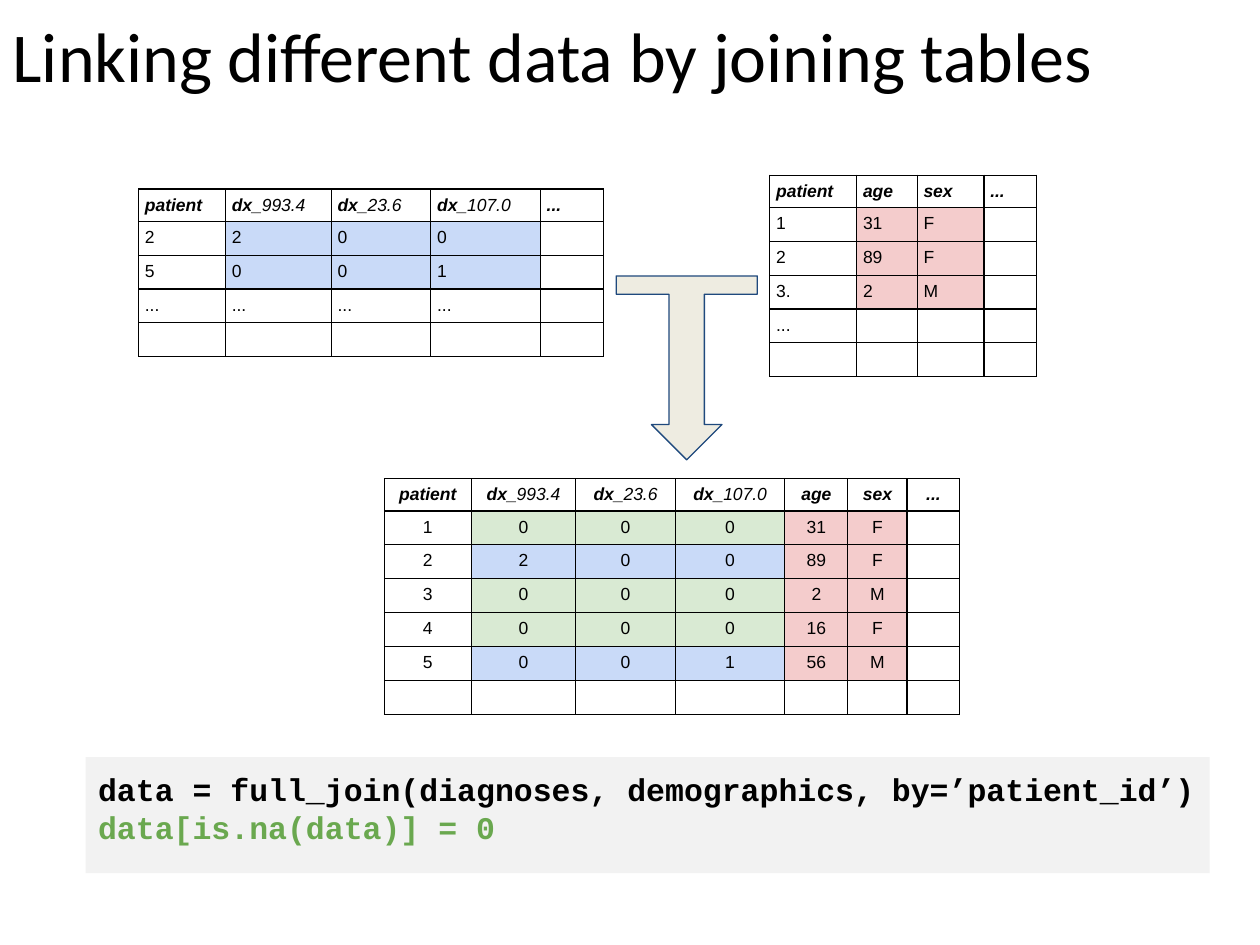
from dataclasses import dataclass

from lxml import etree
from pptx import Presentation
from pptx import util as u
from pptx.dml.color import RGBColor
from pptx.enum import shapes, text
from pptx.oxml.ns import qn


@dataclass(frozen=True)
class Theme:
    black: str = "000000"
    white: str = "FFFFFF"
    diagnosis: str = "C9DAF8"
    demographic: str = "F4CCCC"
    imputed: str = "D9EAD3"
    arrow: str = "EEECE1"
    arrow_line: str = "1F497D"
    code_panel: str = "F2F2F2"
    code_accent: str = "6AA84F"
    title_font: str = "Calibri"
    table_font: str = "Arial"
    code_font: str = "Courier New"
    title_size: float = 40
    table_size: float = 10
    code_size: float = 18
    thin_line: float = 0.75


@dataclass(frozen=True)
class Row:
    values: tuple[str, ...] = ()
    diagnosis_fill: str = Theme.white
    demographic_fill: str = Theme.white


@dataclass(frozen=True)
class DataTable:
    left: float
    top: float
    headers: tuple[str, ...]
    widths: tuple[float, ...]
    rows: tuple[Row, ...]
    alignment: text.PP_ALIGN = text.PP_ALIGN.LEFT


THEME = Theme()
ROW_HEIGHT = 0.25
CELL_MARGIN = 0.05
DIAGNOSES = ("dx_993.4", "dx_23.6", "dx_107.0")
DEMOGRAPHICS = ("age", "sex")


def add_run(paragraph, words: str, font: str, size: float, color: str = THEME.black,
            bold: bool = False, italic: bool = False) -> None:
    run = paragraph.add_run()
    run.text = words
    run.font.name = font
    run.font.size = u.Pt(size)
    run.font.color.rgb = RGBColor.from_string(color)
    run.font.bold = bold
    run.font.italic = italic


def set_fill(target, color: str) -> None:
    target.fill.solid()
    target.fill.fore_color.rgb = RGBColor.from_string(color)


def set_margins(frame, margin: float) -> None:
    frame.margin_left = frame.margin_right = u.Inches(margin)
    frame.margin_top = frame.margin_bottom = u.Inches(margin)


def set_borders(cell) -> None:
    properties = cell._tc.get_or_add_tcPr()
    for side in ("a:lnL", "a:lnR", "a:lnT", "a:lnB"):
        line = etree.SubElement(properties, qn(side), w=str(u.Pt(THEME.thin_line)))
        solid = etree.SubElement(line, qn("a:solidFill"))
        etree.SubElement(solid, qn("a:srgbClr"), val=THEME.black)


def write_cell(cell, words: str, fill: str, alignment: text.PP_ALIGN, header: bool) -> None:
    set_borders(cell)
    set_fill(cell, fill)
    set_margins(cell, CELL_MARGIN)
    paragraph = cell.text_frame.paragraphs[0]
    paragraph.alignment = alignment
    font, size = THEME.table_font, THEME.table_size
    if not words:
        # An empty cell keeps the table's type size, so its row stays low
        etree.SubElement(paragraph._p, qn("a:endParaRPr"), sz=str(int(size * 100)))
    elif words.startswith("dx_"):
        add_run(paragraph, "dx_", font, size, bold=True, italic=True)
        add_run(paragraph, words.removeprefix("dx_"), font, size, italic=True)
    else:
        add_run(paragraph, words, font, size, bold=header, italic=header)


def add_data_table(slide, data: DataTable) -> None:
    lines = (Row(data.headers),) + data.rows
    frame = slide.shapes.add_table(
        len(lines), len(data.headers), u.Inches(data.left), u.Inches(data.top),
        u.Inches(sum(data.widths)), u.Inches(ROW_HEIGHT * len(lines)))
    table = frame.table
    table.first_row = table.horz_banding = False
    for column, width in zip(table.columns, data.widths):
        column.width = u.Inches(width)
    for row_index, line in enumerate(lines):
        table.rows[row_index].height = u.Inches(ROW_HEIGHT)
        for column_index, header in enumerate(data.headers):
            fill = THEME.white
            if header in DIAGNOSES:
                fill = line.diagnosis_fill
            elif header in DEMOGRAPHICS:
                fill = line.demographic_fill
            words = line.values[column_index] if column_index < len(line.values) else ""
            write_cell(table.cell(row_index, column_index), words, fill,
                       data.alignment, header=row_index == 0)


def add_title(slide, words: str) -> None:
    title = slide.shapes.title
    title.left, title.top = u.Inches(0), u.Inches(0)
    title.width, title.height = u.Inches(9.5), u.Inches(1.25)
    frame = title.text_frame
    frame.auto_size = text.MSO_AUTO_SIZE.NONE
    frame.vertical_anchor = text.MSO_ANCHOR.TOP
    set_margins(frame, 0.1)
    paragraph = frame.paragraphs[0]
    paragraph.alignment = text.PP_ALIGN.LEFT
    add_run(paragraph, words, THEME.title_font, THEME.title_size)


def add_join_arrow(slide) -> None:
    arrow = slide.shapes.add_shape(
        shapes.MSO_SHAPE.DOWN_ARROW_CALLOUT,
        u.Inches(4.89), u.Inches(2.19), u.Inches(1.12), u.Inches(1.46))
    for index, value in enumerate((0.25, 0.25, 0.25, 0.1)):
        arrow.adjustments[index] = value
    arrow.shadow.inherit = False
    set_fill(arrow, THEME.arrow)
    arrow.line.color.rgb = RGBColor.from_string(THEME.arrow_line)
    arrow.line.width = u.Pt(THEME.thin_line)


def add_code_panel(slide, lines: tuple[tuple[str, str], ...]) -> None:
    panel = slide.shapes.add_shape(
        shapes.MSO_SHAPE.RECTANGLE,
        u.Inches(0.68), u.Inches(6.01), u.Inches(8.92), u.Inches(0.92))
    panel.shadow.inherit = False
    set_fill(panel, THEME.code_panel)
    panel.line.fill.background()
    frame = panel.text_frame
    frame.word_wrap = True
    frame.vertical_anchor = text.MSO_ANCHOR.TOP
    set_margins(frame, 0.1)
    for index, (words, color) in enumerate(lines):
        paragraph = frame.add_paragraph() if index else frame.paragraphs[0]
        paragraph.alignment = text.PP_ALIGN.LEFT
        add_run(paragraph, words, THEME.code_font, THEME.code_size, color, bold=True)


def main() -> None:
    presentation = Presentation()
    presentation.slide_width, presentation.slide_height = u.Inches(10), u.Inches(7.5)
    slide = presentation.slides.add_slide(presentation.slide_layouts[5])
    add_title(slide, "Linking different data by joining tables")

    blue, red, green = THEME.diagnosis, THEME.demographic, THEME.imputed

    # The two source tables
    add_data_table(slide, DataTable(
        1.1, 1.5, ("patient", *DIAGNOSES, "..."), (0.69, 0.84, 0.79, 0.87, 0.5),
        (Row(("2", "2", "0", "0"), blue), Row(("5", "0", "0", "1"), blue),
         Row(("...",) * 4), Row())))
    add_data_table(slide, DataTable(
        6.11, 1.39, ("patient", *DEMOGRAPHICS, "..."), (0.69, 0.48, 0.53, 0.42),
        (Row(("1", "31", "F"), demographic_fill=red),
         Row(("2", "89", "F"), demographic_fill=red),
         Row(("3.", "2", "M"), demographic_fill=red), Row(("...",)), Row())))

    # The joined table, with filled-in zeros in green
    add_data_table(slide, DataTable(
        3.05, 3.8, ("patient", *DIAGNOSES, *DEMOGRAPHICS, "..."),
        (0.69, 0.83, 0.79, 0.87, 0.5, 0.47, 0.42),
        (Row(("1", "0", "0", "0", "31", "F"), green, red),
         Row(("2", "2", "0", "0", "89", "F"), blue, red),
         Row(("3", "0", "0", "0", "2", "M"), green, red),
         Row(("4", "0", "0", "0", "16", "F"), green, red),
         Row(("5", "0", "0", "1", "56", "M"), blue, red), Row()),
        text.PP_ALIGN.CENTER))

    # The join itself, as an arrow and as code
    add_join_arrow(slide)
    add_code_panel(slide, (
        ("data = full_join(diagnoses, demographics, by=’patient_id’)", THEME.black),
        ("data[is.na(data)] = 0", THEME.code_accent)))
    presentation.save("out.pptx")


if __name__ == "__main__":
    main()
